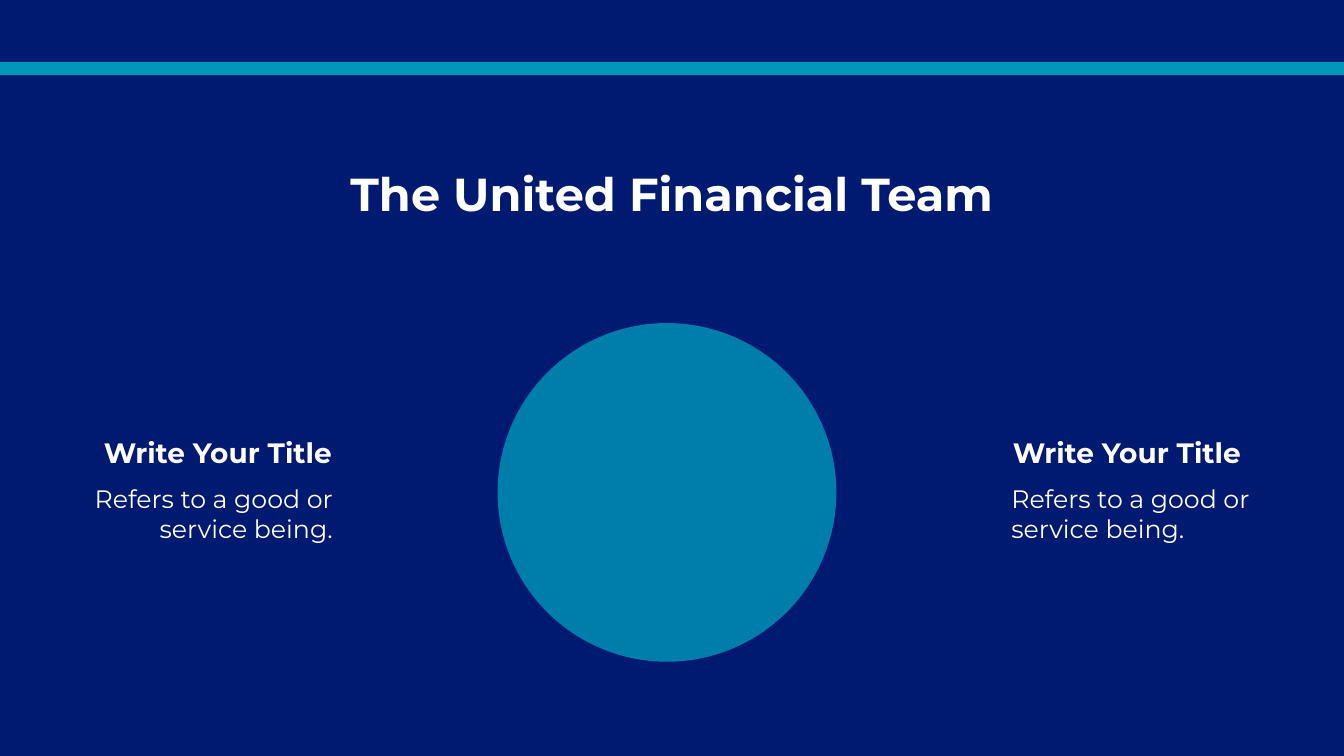
from dataclasses import dataclass

from lxml import etree
from pptx import Presentation
from pptx import util as u
from pptx.dml.color import RGBColor
from pptx.enum import shapes, text
from pptx.oxml.ns import qn

WIDTH, HEIGHT = 26.66, 15
COMPARISON_LAYOUT = 4


@dataclass(frozen=True)
class Theme:
    font: str = "Montserrat"
    navy: str = "001A71"
    teal: str = "0098BA"
    white: str = "FFFFFF"
    title_size: int = 66
    heading_size: int = 40
    body_size: int = 36


THEME = Theme()
TITLE = "The United Financial Team"
HEADING = "Write Your Title"
BODY = "Refers to a good or service being."

# Each column: placeholder indexes, left edges of heading and body, alignment
COLUMNS = (
    (1, 2, 1.41, 1.17, text.PP_ALIGN.RIGHT),
    (3, 4, 19.99, 19.82, text.PP_ALIGN.LEFT),
)


def set_all(target, values):
    for name, value in values.items():
        setattr(target, name, value)


def place(item, left, top, width, height):
    set_all(item, {
        "left": u.Inches(left), "top": u.Inches(top),
        "width": u.Inches(width), "height": u.Inches(height),
    })


def write(placeholder, words, box, size, align, bold=False, inset=(0.1, 0.05)):
    """Fill a placeholder with one unbulleted paragraph; inset is (side, top)."""
    place(placeholder, *box)
    side, top = map(u.Inches, inset)
    frame = placeholder.text_frame
    set_all(frame, {
        "text": words, "word_wrap": True,
        "auto_size": text.MSO_AUTO_SIZE.SHAPE_TO_FIT_TEXT,
        "vertical_anchor": text.MSO_ANCHOR.TOP,
        "margin_left": side, "margin_right": side,
        "margin_top": top, "margin_bottom": top,
    })
    paragraph = frame.paragraphs[0]
    paragraph.alignment = align
    paragraph.space_before = u.Pt(0 if bold else 0.2 * size)
    properties = paragraph._p.get_or_add_pPr()
    properties.set("marL", "0")
    properties.set("indent", "0")
    etree.SubElement(properties, qn("a:buNone"))
    font = paragraph.runs[0].font
    set_all(font, {"name": THEME.font, "size": u.Pt(size), "bold": bold})
    font.color.rgb = RGBColor.from_string(THEME.white)


def add_plain_shape(slide, kind, box, colour, opacity=100):
    shape = slide.shapes.add_shape(kind, *map(u.Inches, box))
    shape.shadow.inherit = False
    shape.line.fill.background()
    shape.fill.solid()
    shape.fill.fore_color.rgb = RGBColor.from_string(colour)
    if opacity < 100:
        srgb = shape._element.spPr.find(".//" + qn("a:srgbClr"))
        etree.SubElement(srgb, qn("a:alpha"), val=str(opacity * 1000))


def add_column(slide, heading_idx, body_idx, heading_left, body_left, align):
    holders = {p.placeholder_format.idx: p for p in slide.placeholders}
    write(holders[heading_idx], HEADING, (heading_left, 8.6, 5.27, 0.77),
          THEME.heading_size, align, bold=True)
    write(holders[body_idx], BODY, (body_left, 9.47, 5.67, 1.45),
          THEME.body_size, align, inset=(0.24, 0.12))


def main():
    deck = Presentation()
    set_all(deck, {"slide_width": u.Inches(WIDTH), "slide_height": u.Inches(HEIGHT)})
    slide = deck.slides.add_slide(deck.slide_layouts[COMPARISON_LAYOUT])
    slide.background.fill.solid()
    slide.background.fill.fore_color.rgb = RGBColor.from_string(THEME.navy)

    write(slide.shapes.title, TITLE, (5.15, 3.23, 16.35, 1.21),
          THEME.title_size, text.PP_ALIGN.CENTER, bold=True)
    for column in COLUMNS:
        add_column(slide, *column)

    kinds = shapes.MSO_SHAPE
    add_plain_shape(slide, kinds.RECTANGLE, (0, 1.23, WIDTH, 0.26), THEME.teal)
    add_plain_shape(slide, kinds.OVAL, (9.87, 6.41, 6.72, 6.72), THEME.teal, opacity=80)
    deck.save("out.pptx")


if __name__ == "__main__":
    main()
